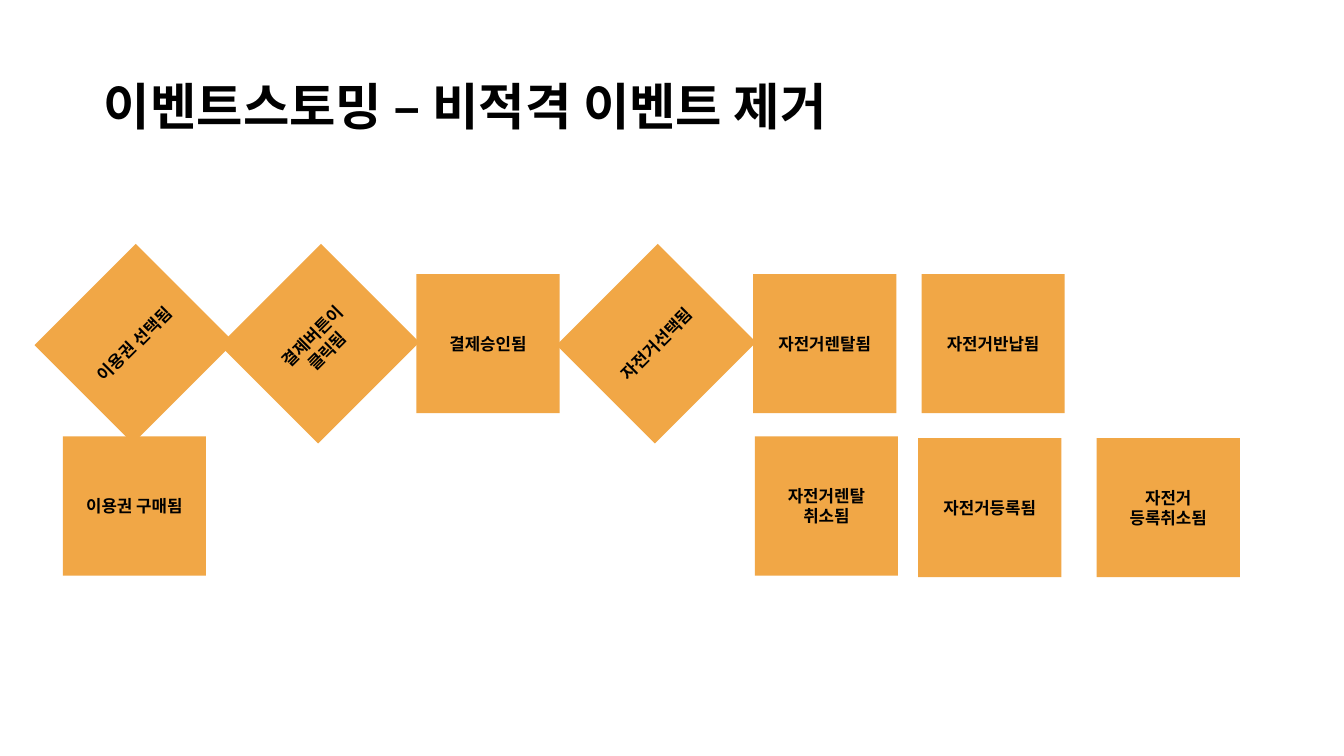
from dataclasses import dataclass

from pptx import Presentation
from pptx.dml.color import RGBColor as RGB
from pptx.enum.shapes import MSO_SHAPE as SHAPE
from pptx.enum.text import MSO_ANCHOR as ANCHOR, PP_ALIGN as ALIGN
from pptx.oxml.ns import qn
from pptx.util import Inches, Pt


@dataclass(frozen=True)
class Theme:
    ink: str = "000000"
    note: str = "F1A746"
    latin: str = "Arial"
    hangul: str = "Noto Sans CJK KR"
    title_size: int = 36
    note_size: int = 12


class EventBoard:
    """Draws an event-storming board of sticky notes on a column and row grid."""

    left, top = 0.79, 2.72
    col_step, row_step = 1.67, 1.61
    note_w, note_h = 1.42, 1.38

    def __init__(self, prs, theme):
        self.theme = theme
        self.width, self.height = prs.slide_width, prs.slide_height
        self.s = prs.slides.add_slide(prs.slide_layouts[6])

    def set_text(self, tf, text, *, size, font, align=ALIGN.LEFT, spacing=None):
        tf.word_wrap = True
        tf.vertical_anchor = ANCHOR.MIDDLE
        for i, line in enumerate(text.split("\n")):
            p = tf.add_paragraph() if i else tf.paragraphs[0]
            p.alignment = align
            p.line_spacing = spacing
            r = p.add_run()
            r.text = line
            r.font.size = Pt(size)
            r.font.bold = True
            r.font.color.rgb = RGB.from_string(self.theme.ink)
            r.font.name = font
            rPr = r._r.get_or_add_rPr()
            rPr.append(rPr.makeelement(qn("a:ea"), {"typeface": self.theme.hangul}))

    def title(self, text, x, y, w, h):
        sp = self.s.shapes.add_textbox(
            int(self.width * x), int(self.height * y),
            int(self.width * w), int(self.height * h))
        self.set_text(sp.text_frame, text, size=self.theme.title_size,
                      font=self.theme.latin, spacing=0.9)

    def note(self, text, col, row, rejected=False):
        sp = self.s.shapes.add_shape(
            SHAPE.RECTANGLE,
            Inches(self.left + col * self.col_step),
            Inches(self.top + row * self.row_step),
            Inches(self.note_w), Inches(self.note_h))
        sp.rotation = 315 if rejected else 0
        sp.shadow.inherit = False
        sp.fill.solid()
        sp.fill.fore_color.rgb = RGB.from_string(self.theme.note)
        sp.line.fill.background()
        self.set_text(sp.text_frame, text, size=self.theme.note_size,
                      font=self.theme.hangul, align=ALIGN.CENTER)


EVENTS = [
    ("이용권 선택됨", -0.1, 0, True),
    ("결제버튼이 클릭됨", 1, 0, True),
    ("결제승인됨", 2, 0, False),
    ("자전거선택됨", 3, 0, True),
    ("자전거렌탈됨", 4, 0, False),
    ("자전거반납됨", 5, 0, False),
    ("자전거\n등록취소됨", 6.04, 1.01, False),
    ("자전거등록됨", 4.98, 1.01, False),
    ("자전거렌탈\n취소됨", 4.01, 1, False),
    ("이용권 구매됨", -0.1, 1, False),
]


def main():
    prs = Presentation()
    prs.slide_width, prs.slide_height = Inches(13.33), Inches(7.5)
    board = EventBoard(prs, Theme())
    board.title("이벤트스토밍 – 비적격 이벤트 제거", 0.07, 0.05, 0.86, 0.19)
    for text, col, row, rejected in EVENTS:
        board.note(text, col, row, rejected)
    prs.save("out.pptx")


if __name__ == "__main__":
    main()
